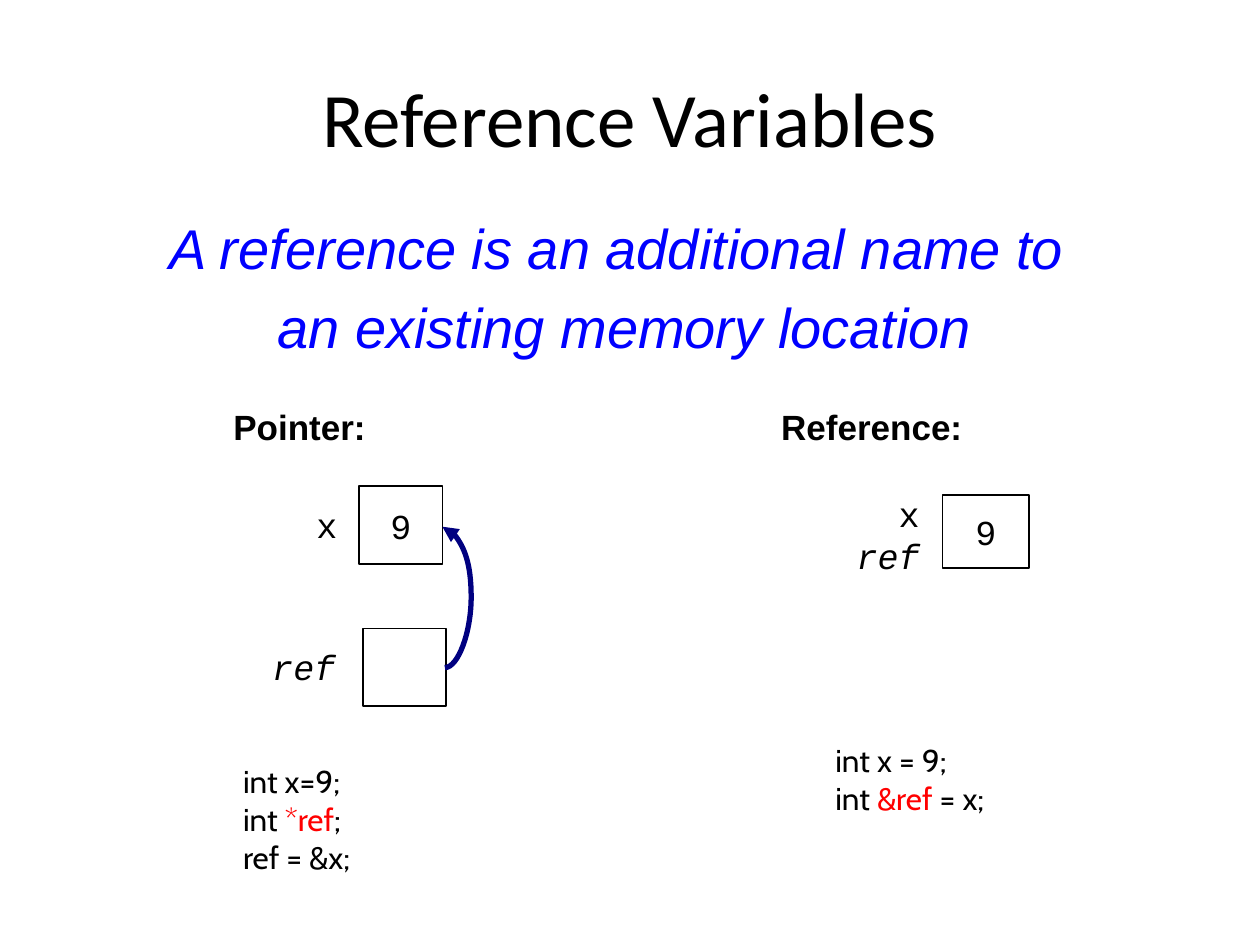
from pptx import Presentation
from pptx.dml.color import RGBColor
from pptx.enum.shapes import MSO_CONNECTOR, MSO_SHAPE
from pptx.enum.text import MSO_ANCHOR, PP_ALIGN
from pptx.oxml.ns import qn
from pptx.util import Cm, Pt
from lxml import etree

LEFT, MID, RIGHT = PP_ALIGN.LEFT, PP_ALIGN.CENTER, PP_ALIGN.RIGHT
RECT, CURVE = MSO_SHAPE.RECTANGLE, MSO_CONNECTOR.CURVE
CENTER = MSO_ANCHOR.MIDDLE
HEX = {"ink": "000000", "blue": "0000FF", "red": "FF0000",
       "navy": "000080", "white": "FFFFFF"}

TITLE = [[("Reference Variables", "")]]
CLAIM = [[("A reference is an additional name to ", "i")],
         [("an existing memory location", "i")]]
HEADS = [("Pointer:", (4.45, 8.05, 3.18, 1.09)),
         ("Reference:", (15.49, 8.05, 4.17, 1.09))]
CELLS = [("9", (7.24, 9.8, 1.68, 1.57)),
         ("", (7.32, 12.67, 1.68, 1.57)),
         ("9", (19, 9.98, 1.75, 1.47))]
NAMES = [([[("x", "")]], (6.07, 10.03, 1.04, 1.09), MID),
         ([[("ref", "i")]], (5.16, 12.88, 1.93, 1.09), MID),
         ([[("x", "")], [("ref", "i")]], (16.94, 9.8, 1.85, 1.96), RIGHT)]
CODES = [([[("int x=9;", "")],
           [("int ", ""), ("*ref", "r"), (";", "")],
           [("ref = &x;", "")]], (4.65, 15.24, 3.1, 2.54)),
         ([[("int x = 9;", "")],
           [("int ", ""), ("&ref", "r"), (" = x;", "")]],
          (16.59, 14.81, 4.01, 1.78))]
START, END, BULGE = (8.97, 13.46), (8.92, 10.62), 9.5


def tint(name):
    return RGBColor.from_string(HEX[name])


def write(frame, lines, font, size, align, color="ink", gap=0):
    for n, line in enumerate(lines):
        para = frame.add_paragraph() if n else frame.paragraphs[0]
        para.alignment = align
        para.space_before = Pt(gap)
        for text, style in line:
            run = para.add_run()
            run.text = text
            run.font.name = font
            run.font.size = Pt(size)
            run.font.bold = "b" in style
            run.font.italic = "i" in style
            run.font.color.rgb = tint("red" if "r" in style else color)


def label(slide, lines, box, font, size, align, wrap=False, **look):
    frame = slide.shapes.add_textbox(*map(Cm, box)).text_frame
    frame.word_wrap = wrap
    write(frame, lines, font, size, align, **look)


def cell(slide, text, box):
    shape = slide.shapes.add_shape(RECT, *map(Cm, box))
    shape.shadow.inherit = False
    shape.fill.solid()
    shape.fill.fore_color.rgb = tint("white")
    shape.line.color.rgb = tint("ink")
    shape.line.width = Pt(1)
    if text:
        frame = shape.text_frame
        frame.word_wrap = False
        frame.vertical_anchor = CENTER
        write(frame, [[(text, "")]], "Courier New", 20, MID)


def arrow(slide):
    link = slide.shapes.add_connector(CURVE, *map(Cm, START + END))
    link.line.color.rgb = tint("navy")
    link.line.width = Pt(3)
    props = link._element.spPr
    etree.SubElement(props, qn("a:effectLst"))
    tail = etree.SubElement(link.line._get_or_add_ln(), qn("a:tailEnd"))
    tail.set("type", "triangle")
    ratio = (START[0] - BULGE) / (START[0] - END[0])
    shape = props.find(qn("a:prstGeom"))
    guides = shape.find(qn("a:avLst"))
    if guides is None:
        guides = etree.SubElement(shape, qn("a:avLst"))
    guide = etree.SubElement(guides, qn("a:gd"))
    guide.set("name", "adj1")
    guide.set("fmla", f"val {round(ratio * 100000)}")


def main():
    deck = Presentation()
    deck.slide_width, deck.slide_height = Cm(25.4), Cm(19.05)
    slide = deck.slides.add_slide(deck.slide_layouts[5])
    title = slide.shapes.title
    title.left, title.top, title.width, title.height = map(
        Cm, (1.27, 0.76, 22.86, 3.18))
    title.text_frame.vertical_anchor = CENTER
    write(title.text_frame, TITLE, "Calibri", 44, MID)
    label(slide, CLAIM, (1.7, 4.17, 21.79, 3.23), "Arial", 32, MID,
          wrap=True, color="blue", gap=7)
    for text, box in CELLS:
        cell(slide, text, box)
    for lines, box, align in NAMES:
        label(slide, lines, box, "Courier New", 20, align, wrap=True)
    arrow(slide)
    for text, box in HEADS:
        label(slide, [[(text, "b")]], box, "Arial", 20, MID)
    for lines, box in CODES:
        label(slide, lines, box, "Cabin", 18, LEFT)
    deck.save("out.pptx")


if __name__ == "__main__":
    main()
